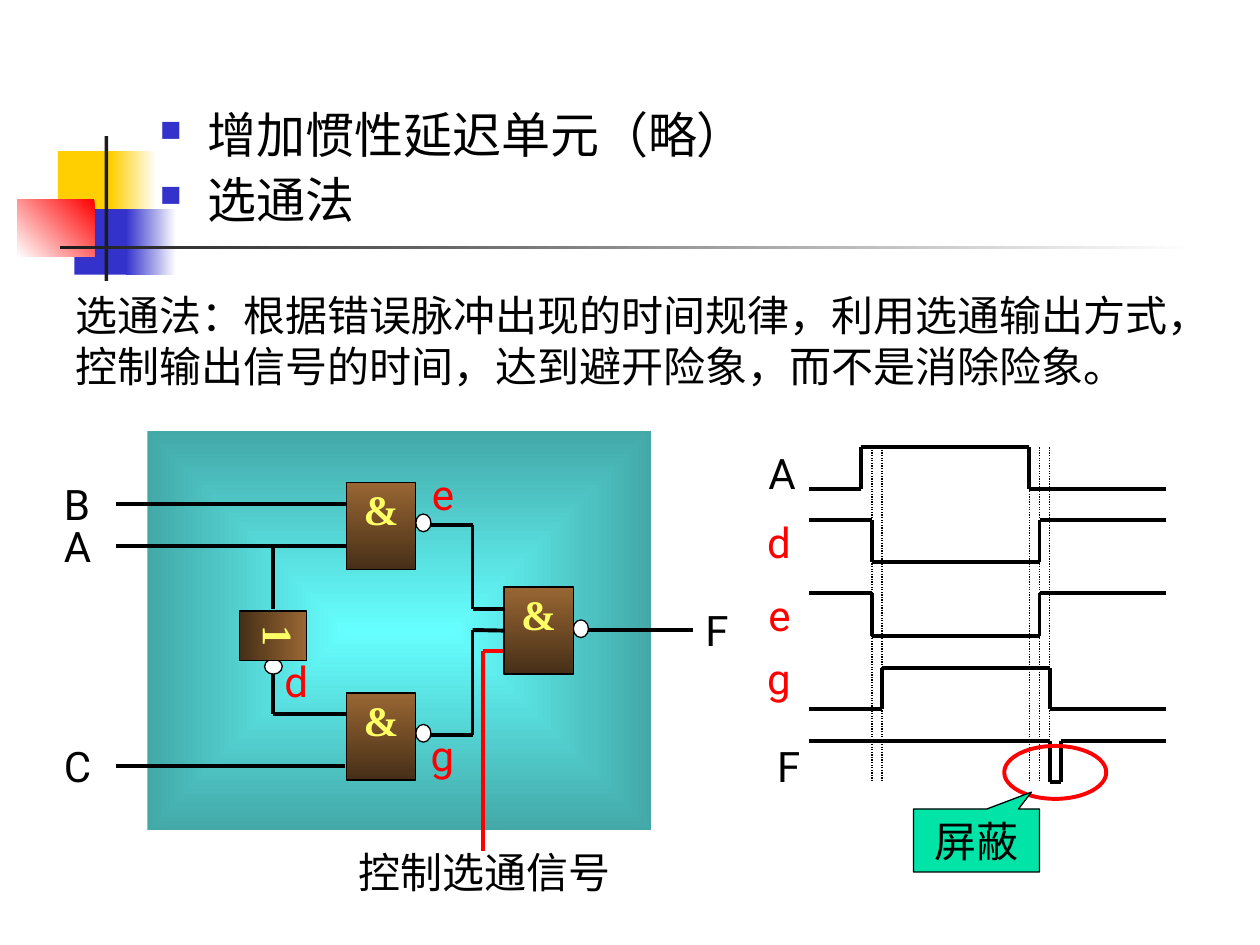
import pptx
import pptx.util
import pptx.dml.color
import pptx.enum.dml
import pptx.enum.shapes
import pptx.enum.text
import lxml.etree
from pptx.oxml.ns import qn

Inches, Pt = pptx.util.Inches, pptx.util.Pt
SHAPE = pptx.enum.shapes.MSO_SHAPE
STRAIGHT = pptx.enum.shapes.MSO_CONNECTOR.STRAIGHT
ALIGN, ANCHOR = pptx.enum.text.PP_ALIGN, pptx.enum.text.MSO_ANCHOR
BLACK, WHITE, RED, BLUE, YELLOW, DARK = "000000", "FFFFFF", "FF0000", "3333CC", "FFCF01", "1C1C1C"


def paint(fill, start, end=None, angle=0):
    """Solid colour, or a gradient at a counter-clockwise angle."""
    if end is None:
        fill.solid()
        fill.fore_color.rgb = pptx.dml.color.RGBColor.from_string(start)
        return
    fill.gradient()
    fill.gradient_angle = angle
    for stop, colour in zip(fill.gradient_stops, (start, end)):
        stop.color.rgb = pptx.dml.color.RGBColor.from_string(colour)


def write(frame, text, size=24, colour=BLACK, font="Roboto", bold=False, align=ALIGN.LEFT,
          anchor=ANCHOR.TOP, top=0.05, wrap=False, grow=False, bullet=None, line=None, before=0):
    frame.word_wrap = wrap
    if grow:
        frame.auto_size = pptx.enum.text.MSO_AUTO_SIZE.SHAPE_TO_FIT_TEXT
    frame.vertical_anchor = anchor
    frame.margin_left = frame.margin_right = Inches(0.1)
    frame.margin_top, frame.margin_bottom = Inches(top), Inches(0.05)
    frame.text = text
    for number, paragraph in enumerate(frame.paragraphs):
        paragraph.alignment = align
        paragraph.line_spacing = line
        paragraph.space_before = Pt(before if number else 0)
        if bullet:
            props = paragraph._p.get_or_add_pPr()
            props.set("marL", str(Inches(0.38)))
            props.set("indent", str(-Inches(0.38)))
            tint = lxml.etree.SubElement(props, qn("a:buClr"))
            lxml.etree.SubElement(tint, qn("a:srgbClr"), val=BLUE)
            lxml.etree.SubElement(props, qn("a:buSzPct"), val="60000")
            lxml.etree.SubElement(props, qn("a:buChar"), char=bullet)
        for run in paragraph.runs:
            run.font.size, run.font.name, run.font.bold = Pt(size), font, bold
            paint(run.font.fill, colour)


deck = pptx.Presentation()
deck.slide_width, deck.slide_height = Inches(10), Inches(7.5)
slide = deck.slides.add_slide(deck.slide_layouts[6])

# Corner ornament, rule and circuit panel
backdrop = [
    (0.46, 1.2, 0.48, 0.52, (YELLOW,)),
    (0.88, 1.2, 0.36, 0.52, (WHITE, YELLOW, 180)),
    (0.59, 1.66, 0.46, 0.52, (BLUE,)),
    (1, 1.66, 0.4, 0.52, (WHITE, BLUE, 180)),
    (0.14, 1.58, 0.61, 0.46, (RED, WHITE, 225)),
    (0.83, 1.08, 0.03, 1.15, (DARK,)),
    (0.48, 1.95, 9, 0.03, (WHITE, DARK, 180)),
    (1.17, 3.42, 4, 3.17, ("66FFFF", "43A8A8")),
]
for *bounds, colours in backdrop:
    panel = slide.shapes.add_shape(SHAPE.RECTANGLE, *map(Inches, bounds))
    panel.shadow.inherit = False
    paint(panel.fill, *colours)
    panel.line.fill.background()

# The circuit panel, last in the list, shades outwards from its centre
gradient = panel._element.spPr.find(qn("a:gradFill"))
gradient.remove(gradient.find(qn("a:lin")))
radial = lxml.etree.SubElement(gradient, qn("a:path"), path="rect")
lxml.etree.SubElement(radial, qn("a:fillToRect"), l="50000", t="50000", r="50000", b="50000")

# Timing signals: name, colour, label corner, idle level, pulse level, pulse edges
START, END = 6.42, 9.25
signals = [
    ("A", BLACK, 6, 3.5, 3.88, 3.55, 6.83, 8.17),
    ("d", RED, 5.99, 4.05, 4.13, 4.46, 6.92, 8.25),
    ("e", RED, 6, 4.63, 4.71, 5.05, 6.92, 8.25),
    ("g", RED, 5.99, 5.13, 5.63, 5.3, 7, 8.33),
    ("F", BLACK, 6.07, 5.83, 5.88, 6.21, 8.33, 8.42),
]
paths = []
for *label, idle, pulse, rise, fall in signals:
    paths.append((BLACK, [(START, idle), (rise, idle), (rise, pulse),
                          (fall, pulse), (fall, idle), (END, idle)]))

# Circuit wires, the control wire in red; the one into the output gate comes last
paths += [
    (BLACK, [(0.92, 4), (2.75, 4)]),
    (BLACK, [(0.92, 4.33), (2.75, 4.33)]),
    (BLACK, [(0.92, 6.08), (2.74, 6.08)]),
    (BLACK, [(2.17, 4.33), (2.17, 4.83)]),
    (BLACK, [(2.17, 5.25), (2.17, 5.67), (2.75, 5.67)]),
    (BLACK, [(3.42, 4.17), (3.75, 4.17), (3.75, 4.83), (4, 4.83)]),
    (BLACK, [(4.67, 5), (5.5, 5)]),
    (RED, [(3.83, 6.75), (3.83, 5.17), (4, 5.17)]),
    (BLACK, [(3.42, 5.83), (3.75, 5.83), (3.75, 5), (4, 5)]),
]
segments = [(x, 3.55, x, 6.21, BLACK, True) for x in (6.92, 7, 8.17, 8.25, 8.33)]
for colour, points in paths:
    segments += [(*a, *b, colour, False) for a, b in zip(points, points[1:])]
for *ends, colour, dotted in segments:
    wire = slide.shapes.add_connector(STRAIGHT, *map(Inches, ends))
    paint(wire.line.fill, colour)
    wire.line.width = Pt(0.75 if dotted else 2.25)
    if dotted:
        wire.line.dash_style = pptx.enum.dml.MSO_LINE.ROUND_DOT
    lxml.etree.SubElement(wire._element.spPr, qn("a:effectLst"))

# Gates with their inversion bubbles, and the ring around the masked pulse
BROWN = ("996633", "462F17", 270)
parts = [
    (SHAPE.OVAL, 3.3, 4.08, 0.12, 0.14, 0, "", (WHITE,)),
    (SHAPE.OVAL, 3.3, 5.75, 0.12, 0.14, 0, "", (WHITE,)),
    (SHAPE.OVAL, 4.55, 4.92, 0.12, 0.14, 0, "", (WHITE,)),
    (SHAPE.OVAL, 2.11, 5.22, 0.12, 0.14, 90, "", (WHITE,)),
    (SHAPE.OVAL, 7.97, 5.92, 0.81, 0.42, 0, "", None),
    (SHAPE.RECTANGLE, 1.97, 4.78, 0.39, 0.53, 90, "1", BROWN),
    (SHAPE.RECTANGLE, 2.75, 3.83, 0.55, 0.69, 0, "&", BROWN),
    (SHAPE.RECTANGLE, 2.75, 5.5, 0.55, 0.69, 0, "&", BROWN),
    (SHAPE.RECTANGLE, 4, 4.66, 0.55, 0.69, 0, "&", BROWN),
    (SHAPE.RECTANGULAR_CALLOUT, 7.25, 6.42, 1, 0.5, 180, "屏蔽", ("00E4A8",)),
]
for kind, *bounds, turn, symbol, colours in parts:
    part = slide.shapes.add_shape(kind, *map(Inches, bounds))
    part.shadow.inherit = False
    part.rotation = turn
    paint(part.line.fill, BLACK if colours else RED)
    part.line.width = Pt(0.75 if colours else 2.25)
    if colours:
        paint(part.fill, *colours)
    else:
        part.fill.background()
    if kind == SHAPE.RECTANGULAR_CALLOUT:
        part.adjustments[0], part.adjustments[1] = -0.436, 0.767
        write(part.text_frame, symbol, align=ALIGN.CENTER, anchor=ANCHOR.MIDDLE, wrap=True)
        part.text_frame._txBody.bodyPr.set("rot", str(180 * 60000))
    elif symbol:
        write(part.text_frame, symbol, colour="FFFF66", font="Times New Roman",
              bold=True, align=ALIGN.CENTER, top=0.01)
    if bounds[0] == 4:
        wire.end_connect(part, 1)

# Headings
headings = slide.shapes.add_textbox(Inches(1.17), Inches(0.83), Inches(8.5), Inches(1.08))
write(headings.text_frame, "增加惯性延迟单元（略）\n选通法", size=28, wrap=True,
      bullet="■", line=0.9, before=7)

# Explanation, signal names and wire names
explanation = ("选通法：根据错误脉冲出现的时间规律，利用选通输出方式，\n"
               "控制输出信号的时间，达到避开险象，而不是消除险象。")
labels = [
    (explanation, BLACK, 0.5, 2.25, 9.2, 0.9),
    ("控制选通信号", BLACK, 2.75, 6.67, 2.2, 0.5),
]
names = [signal[:4] for signal in signals] + [
    ("B", BLACK, 0.41, 3.75), ("A", BLACK, 0.41, 4.08), ("C", BLACK, 0.41, 5.83),
    ("F", BLACK, 5.5, 4.75), ("d", RED, 2.16, 5.15), ("e", RED, 3.33, 3.67),
    ("g", RED, 3.32, 5.74),
]
labels += [(*name, 0.4, 0.5) for name in names]
for text, colour, *bounds in labels:
    label = slide.shapes.add_textbox(*map(Inches, bounds))
    write(label.text_frame, text, colour=colour, grow=True)

deck.save("out.pptx")
